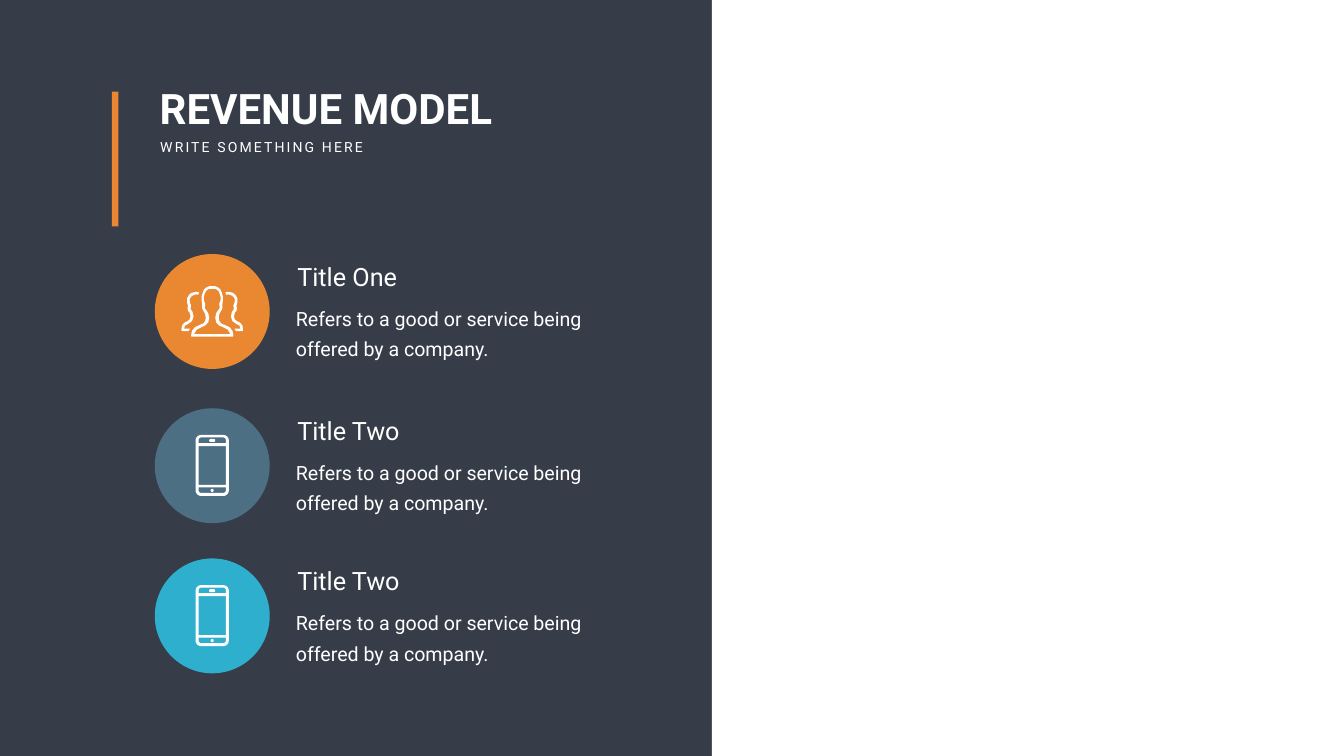
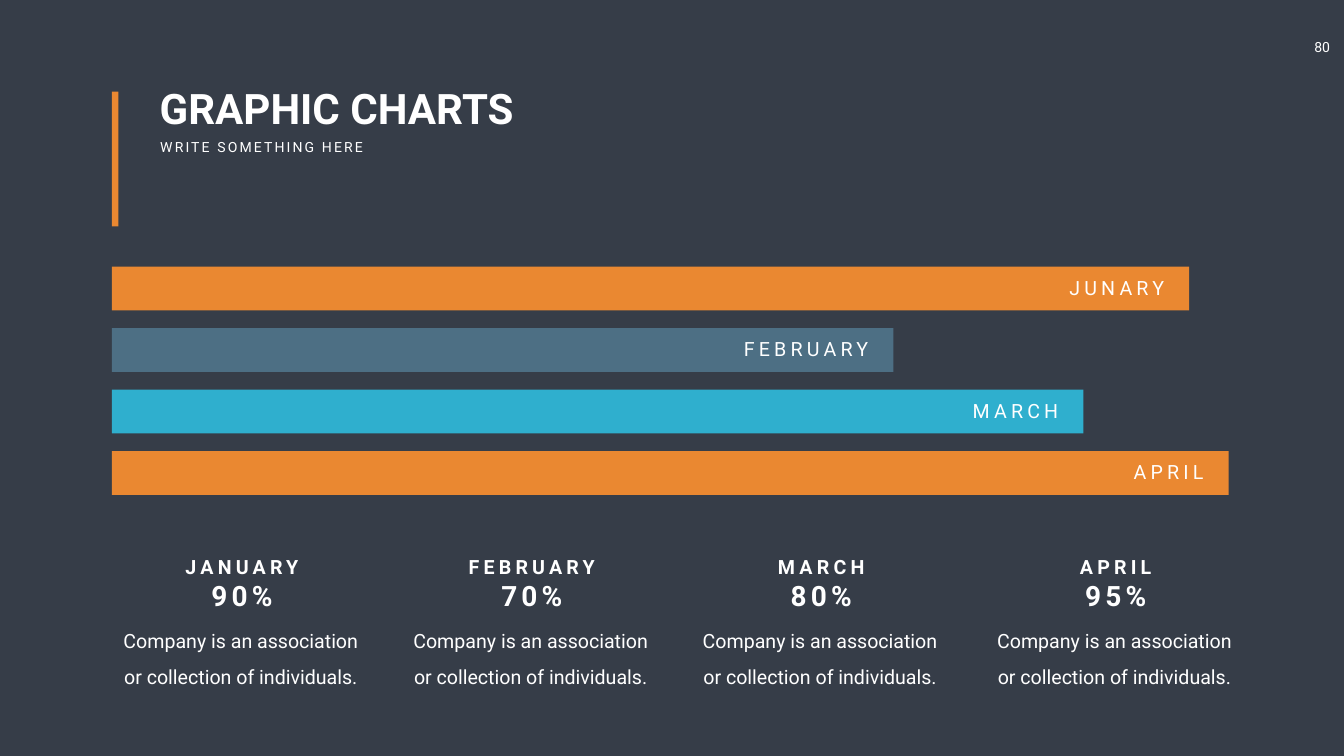
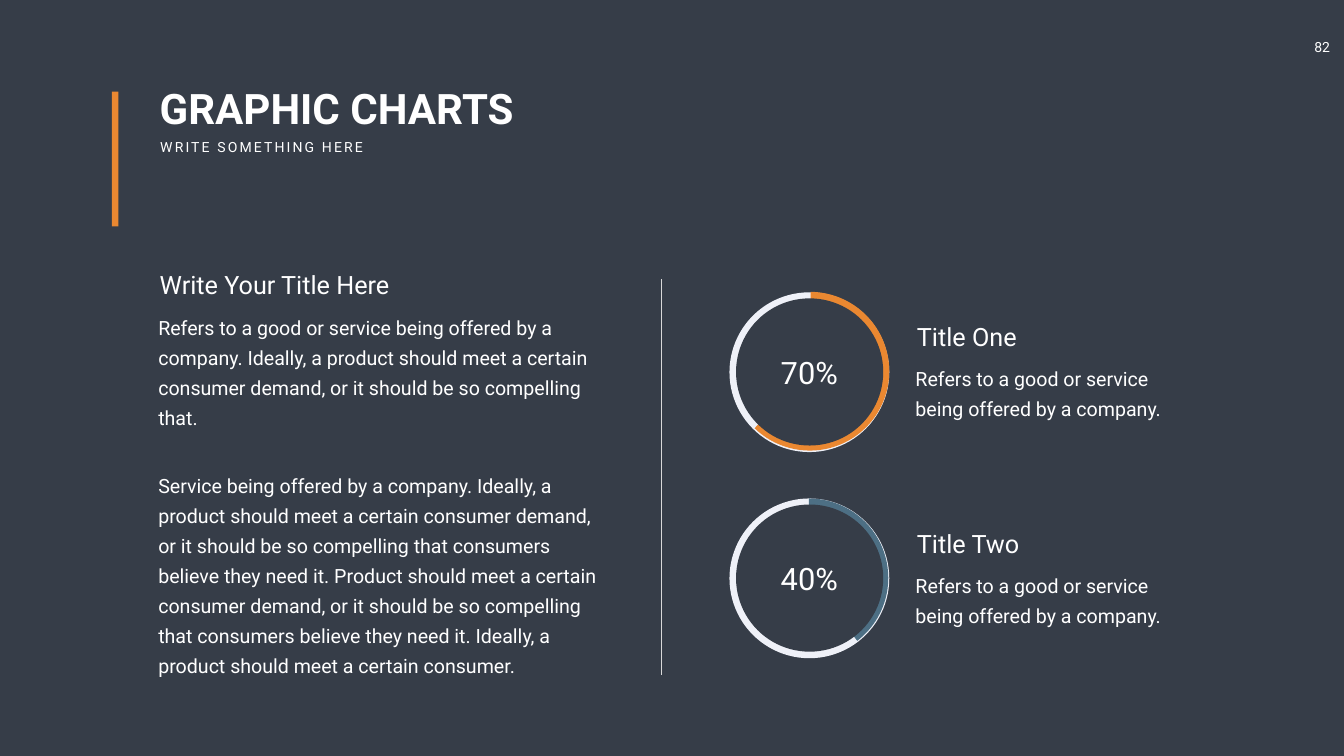
from math import cos, pi, sin

from pptx import Presentation
from pptx import util as u
from pptx.dml.color import RGBColor
from pptx.enum import shapes, text

COLORS = {
    "ground": "363D48", "white": "FFFFFF", "orange": "EA8831", "slate": "4D6F84",
    "cyan": "2FAFCE", "track": "EFF1F8", "rule": "D9D9D9",
}
FONT = "Roboto"
MARGIN = 2.22
OFFER = "Refers to a good or service being offered by a company."
COMPANY = "Company is an association or collection of individuals."
DEMAND = (
    "Refers to a good or service being offered by a company. Ideally, a product should meet "
    "a certain consumer demand, or it should be so compelling that."
)
SERVICE = (
    "Service being offered by a company. Ideally, a product should meet a certain consumer "
    "demand, or it should be so compelling that consumers believe they need it. Product should "
    "meet a certain consumer demand, or it should be so compelling that consumers believe they "
    "need it. Ideally, a product should meet a certain consumer."
)

PERSON_OUTER = [
    (0, -.5), (.06, -.5), (.11, -.48), (.16, -.44), (.19, -.37), (.21, -.3), (.21, -.21),
    (.2, -.14), (.2, -.06), (.18, -.02), (.14, .05), (.13, .13), (.14, .19), (.18, .24),
    (.23, .26), (.34, .31), (.4, .38), (.42, .48), (.41, .5), (.39, .5),
]
PERSON_INNER = [
    (0, -.45), (.04, -.45), (.08, -.44), (.12, -.41), (.15, -.35), (.17, -.27), (.16, -.2),
    (.14, -.16), (.14, -.13), (.15, -.07), (.13, -.04), (.08, .03), (.06, .13), (.08, .22),
    (.14, .28), (.21, .31), (.31, .36), (.36, .45),
]
PERSON_BEHIND = [
    (.5, .2), (.45, .16), (.43, .1), (.45, .02), (.48, -.01), (.49, -.06), (.48, -.11),
    (.5, -.18), (.5, -.26), (.46, -.33), (.41, -.37), (.32, -.39), (.26, -.38), (.28, -.33),
    (.32, -.34), (.38, -.32), (.42, -.29), (.45, -.24), (.44, -.17), (.42, -.12), (.43, -.05),
    (.39, .01), (.37, .1), (.4, .19), (.48, .25), (.54, .28), (.56, .34), (.44, .34),
    (.47, .39), (.59, .39), (.61, .38), (.61, .36), (.6, .28), (.55, .22),
]


def rgb(name):
    return RGBColor.from_string(COLORS[name])


def add_shape(s, kind, x, y, w, h, color):
    sp = s.shapes.add_shape(kind, *map(u.Inches, (x, y, w, h)))
    paint(sp, color)
    return sp


def paint(sp, color):
    sp.shadow.inherit = False
    sp.fill.solid()
    sp.fill.fore_color.rgb = rgb(color)
    sp.line.fill.background()


def add_text(s, x, y, w, h, lines, size=28, bold=False, spacing=0, align="LEFT",
             wrap=True, inset=(.1, .05), leading=None, before=0):
    tf = s.shapes.add_textbox(*map(u.Inches, (x, y, w, h))).text_frame
    tf.word_wrap = wrap
    tf.margin_left = tf.margin_right = u.Inches(inset[0])
    tf.margin_top = tf.margin_bottom = u.Inches(inset[1])
    lines = [lines] if isinstance(lines, str) else lines
    sizes = size if isinstance(size, tuple) else (size,) * len(lines)
    for i, (line, pts) in enumerate(zip(lines, sizes)):
        p = tf.add_paragraph() if i else tf.paragraphs[0]
        p.alignment = getattr(text.PP_ALIGN, align)
        if leading:
            p.line_spacing = leading
        if i and before:
            p.space_before = u.Pt(before)
        r = p.add_run()
        r.text = line
        r.font.name, r.font.size, r.font.bold = FONT, u.Pt(pts), bold
        r.font.color.rgb = rgb("white")
        if spacing:
            r._r.get_or_add_rPr().set("spc", str(spacing * 100))


def add_slide(prs, title, number=None):
    s = prs.slides.add_slide(prs.slide_layouts[6])
    s.background.fill.solid()
    s.background.fill.fore_color.rgb = rgb("ground")
    if number:
        add_text(s, 25.87, .67, .91, .54, number, size=20, inset=(.2, .1))
    add_text(s, 3.07, 1.59, 10.39, 1.11, title, size=60, bold=True)
    add_text(s, 3.08, 2.7, 4.35, .44, "WRITE SOMETHING HERE", size=20, spacing=3, wrap=False)
    add_shape(s, shapes.MSO_SHAPE.RECTANGLE, MARGIN, 1.82, .13, 2.67, "orange")
    return s


def add_entry(s, x, y, title, body, w, h=1.39):
    add_text(s, x, y, 5.67, .71, title, size=36)
    add_text(s, x - .17, y + .71, w, h, body, inset=(.24, .12), leading=u.Pt(43), before=54)


def rounded_box(x, y, w, h, top=0, bottom=0):
    corners = [(x + w, y + h, bottom, -1, -1), (x, y + h, bottom, 1, -1),
               (x, y, top, 1, 1), (x + w, y, top, -1, 1)]
    points = []
    for i, (cx, cy, radius, sx, sy) in enumerate(corners):
        for step in range(7 if radius else 1):
            angle = (i + step / 6) * pi / 2
            points.append((cx + radius * (sx + cos(angle)), cy + radius * (sy + sin(angle)))
                          if radius else (cx, cy))
    return points


def mirror(points):
    return [(-x, y) for x, y in reversed(points)]


def people_icon():
    return [PERSON_OUTER + mirror(PERSON_OUTER), PERSON_INNER + mirror(PERSON_INNER),
            PERSON_BEHIND, mirror(PERSON_BEHIND)]


def phone_icon():
    return [
        rounded_box(-.33, -.61, .66, 1.21, .11, .11),
        rounded_box(-.27, -.56, .54, .11, top=.05),
        rounded_box(-.27, -.39, .54, .77),
        rounded_box(-.27, .43, .54, .11, bottom=.05),
        rounded_box(-.06, -.53, .12, .06, .03, .03),
        rounded_box(-.03, .46, .06, .06, .03, .03),
    ]


def add_icon(s, cx, cy, outlines):
    builder = None
    for outline in outlines:
        points = [(u.Inches(cx + x), u.Inches(cy + y)) for x, y in outline]
        if builder is None:
            builder = s.shapes.build_freeform(*points[0])
        else:
            builder.move_to(*points[0])
        builder.add_line_segments(points[1:], close=True)
    paint(builder.convert_to_shape(), "white")


def add_badge(s, y, color, outlines, size=2.28):
    add_shape(s, shapes.MSO_SHAPE.OVAL, 3.07, y, size, size, color)
    add_icon(s, 3.07 + size / 2, y + size / 2, outlines)


def add_ring(s, y, label, color, start, end, dx=0, dy=0):
    x = 14.47
    add_shape(s, shapes.MSO_SHAPE.OVAL, x, y, 3.17, 3.17, "track")
    pie = add_shape(s, shapes.MSO_SHAPE.PIE, x + dx, y + dy, 3.15, 3.15, color)
    for i, degrees in enumerate((start, end)):
        pie.adjustments[i] = degrees * .6
    add_shape(s, shapes.MSO_SHAPE.OVAL, x + .13, y + .12, 2.92, 2.92, "ground")
    add_text(s, x + .72, y + 1.16, 1.73, .84, label, size=44, align="CENTER")


def add_rule(s, x, top, bottom):
    line = s.shapes.add_connector(shapes.MSO_CONNECTOR.STRAIGHT,
                                  *map(u.Inches, (x, top, x, bottom)))
    line.line.color.rgb = rgb("rule")
    line.line.width = u.Pt(.5)
    sp_pr = line._element.spPr
    sp_pr.append(sp_pr.makeelement(
        "{http://schemas.openxmlformats.org/drawingml/2006/main}effectLst", {}))


def revenue_slide(prs):
    s = add_slide(prs, "REVENUE MODEL")
    add_shape(s, shapes.MSO_SHAPE.RECTANGLE, 14.12, 0, 12.54, 15, "white")
    for y, color, title, outlines in (
        (5.04, "orange", "Title One", people_icon()),
        (8.1, "slate", "Title Two", phone_icon()),
        (11.08, "cyan", "Title Two", phone_icon()),
    ):
        add_badge(s, y, color, outlines)
        add_entry(s, 5.8, y + .09, title, OFFER, 6.9)


def bars_slide(prs):
    s = add_slide(prs, "GRAPHIC CHARTS", "80")
    bars = (("JUNARY", 21.37, "orange"), ("FEBRUARY", 15.5, "slate"),
            ("MARCH", 19.27, "cyan"), ("APRIL", 22.15, "orange"))
    for i, (month, length, color) in enumerate(bars):
        y = 5.29 + 1.22 * i
        add_shape(s, shapes.MSO_SHAPE.RECTANGLE, MARGIN, y, length, .87, color)
        add_text(s, MARGIN + length - 6.85, y + .13, 6.45, .57, month, spacing=6, align="RIGHT")
    for x, month, share, w in ((2.22, "JANUARY", "90%", 2.57), (7.97, "FEBRUARY", "70%", 2.87),
                               (13.71, "MARCH", "80%", 2), (19.55, "APRIL", "95%", 1.72)):
        add_text(s, x, 12.2, 5.11, 1.43, COMPANY, align="CENTER", leading=1.5)
        add_text(s, x + 2.58 - w / 2, 10.96, w, 1.25, [month, share], size=(28, 40),
                 bold=True, spacing=6, align="CENTER", wrap=False)


def rings_slide(prs):
    s = add_slide(prs, "GRAPHIC CHARTS", "82")
    add_rule(s, 13.11, 5.54, 13.4)
    add_entry(s, 3.07, 5.3, "Write Your Title Here", [DEMAND, SERVICE], 9.19, 7.61)
    add_ring(s, 5.8, "70%", "orange", 270.6, 134.12, dx=.02, dy=-.01)
    add_ring(s, 9.89, "40%", "slate", 270.07, 52.48)
    for y, title in ((6.32, "Title One"), (10.43, "Title Two")):
        add_entry(s, 18.09, y, title, OFFER, 5.83)


def main():
    prs = Presentation()
    prs.slide_width, prs.slide_height = u.Inches(26.66), u.Inches(15)
    revenue_slide(prs)
    bars_slide(prs)
    rings_slide(prs)
    prs.save("out.pptx")


if __name__ == "__main__":
    main()
